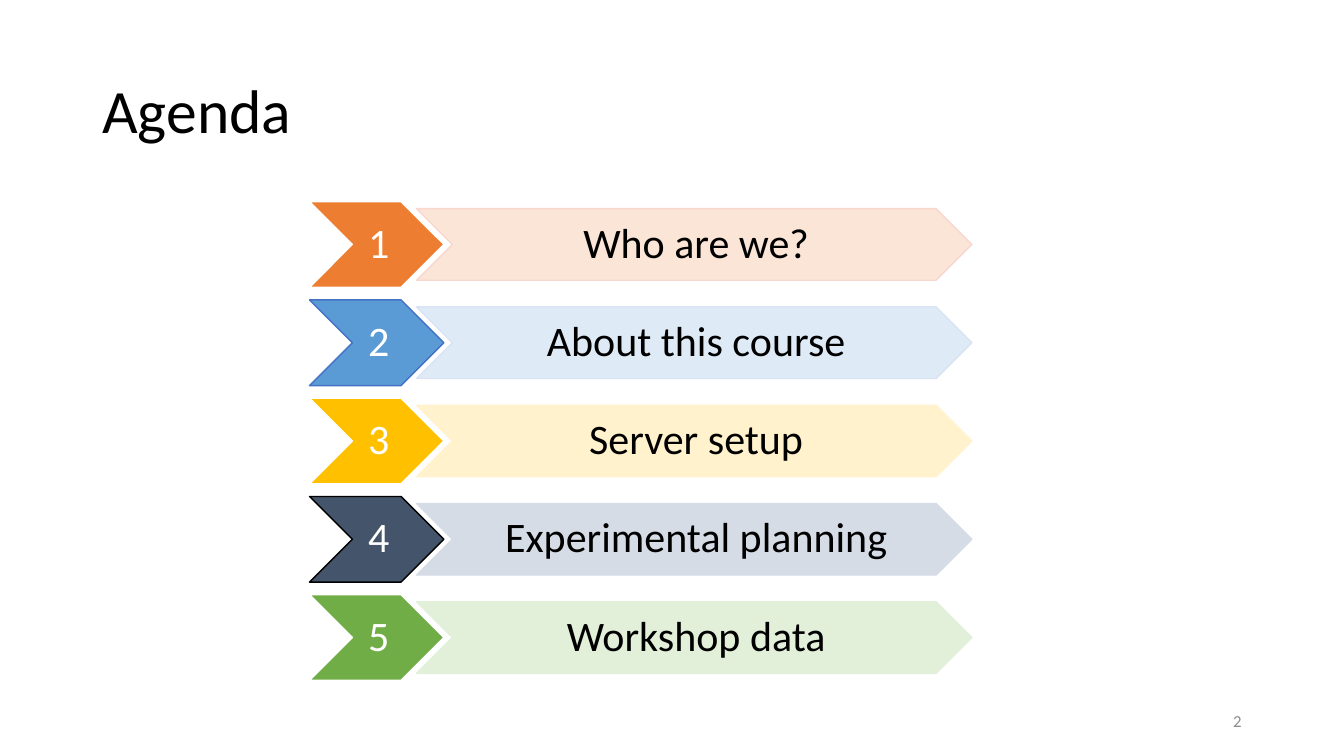
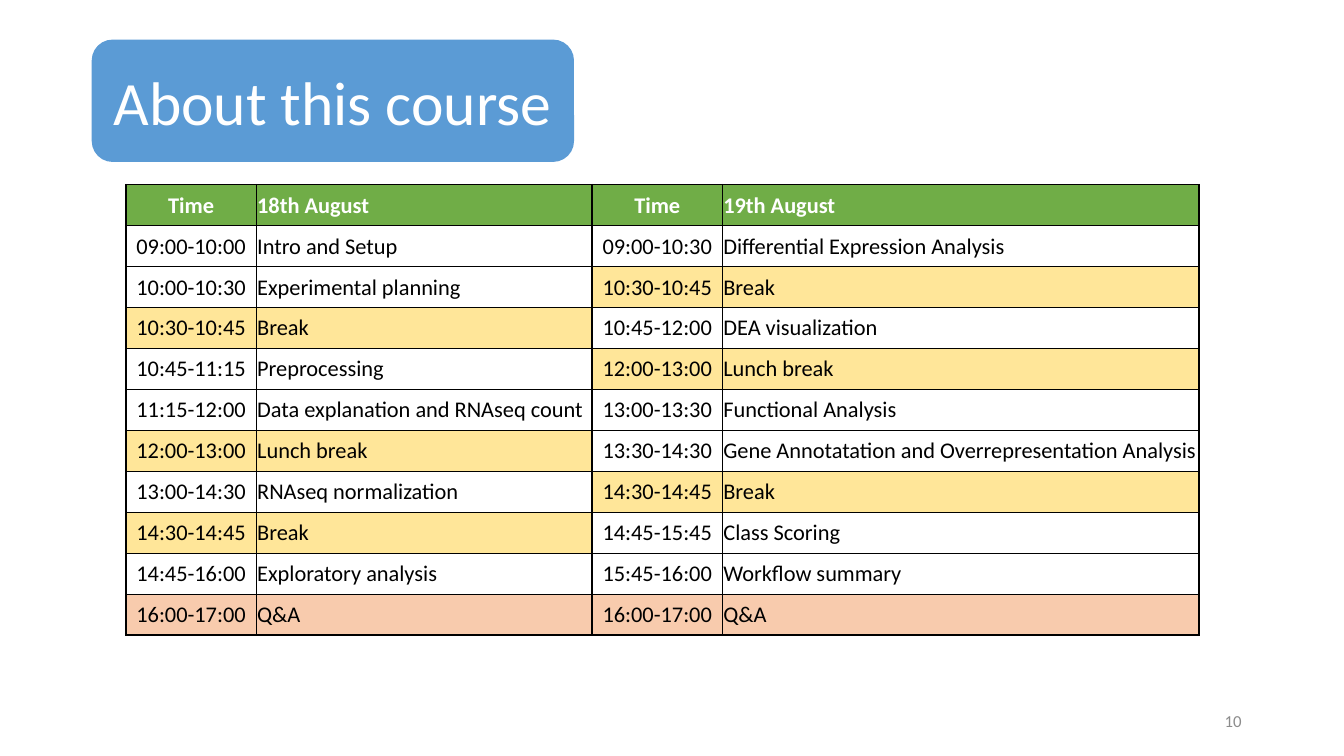
from pptx import Presentation
from pptx.dml.color import RGBColor
from pptx.enum.shapes import MSO_SHAPE
from pptx.enum.text import MSO_ANCHOR, PP_ALIGN
from pptx.oxml import parse_xml
from pptx.oxml.ns import nsdecls
from pptx.util import Inches, Pt


class Theme:
    font = "Calibri"
    title_size, agenda_size, table_size, footer_size = 44, 30, 16, 12
    black, white, grey = "000000", "FFFFFF", "8C8C8C"
    blue, green = "5B9BD5", "70AD47"
    break_fill, questions_fill = "FFE699", "F8CBAD"


prs = Presentation()
prs.slide_width, prs.slide_height = Inches(13.33), Inches(7.5)

# Grid: 160 columns by 150 rows
COL, ROW = prs.slide_width / 160, prs.slide_height / 150
LEFT, RIGHT, TITLE_TOP = 11, 149, 8


def write(tf, text, size, color, align=PP_ALIGN.LEFT, spacing=1.0, bold=False):
    tf.text = text
    tf.word_wrap = True
    tf.vertical_anchor = MSO_ANCHOR.MIDDLE
    p = tf.paragraphs[0]
    p.alignment, p.line_spacing = align, spacing
    font = p.runs[0].font
    font.name, font.size, font.bold = Theme.font, Pt(size), bold
    font.color.rgb = RGBColor.from_string(color)


def add_box(shapes, x, y, w, h, kind=None, fill=None, line=None):
    """Add a shape, or a text box when no kind is given; lengths are grid units."""
    box = [round(v) for v in (x * COL, y * ROW, w * COL, h * ROW)]
    if kind is None:
        return shapes.add_textbox(*box)
    sp = shapes.add_shape(kind, *box)
    sp.shadow.inherit = False
    sp.fill.solid()
    sp.fill.fore_color.rgb = RGBColor.from_string(fill)
    sp.line.color.rgb = RGBColor.from_string(line)
    sp.line.width = Pt(1)
    return sp


# Slides with their page numbers
slides = []
for number in (2, 10):
    s = prs.slides.add_slide(prs.slide_layouts[6])
    sp = add_box(s.shapes, RIGHT - 36, 139, 36, 8)
    write(sp.text_frame, str(number), Theme.footer_size, Theme.grey, PP_ALIGN.RIGHT)
    slides.append(s)
agenda, course = slides

# Agenda: title
sp = add_box(agenda.shapes, LEFT, TITLE_TOP, RIGHT - LEFT, 29)
write(sp.text_frame, "Agenda", Theme.title_size, Theme.black, spacing=0.9)

# Agenda: numbered chevrons, each with a pale bar
ITEMS = [  # text, number fill and line, bar fill and line
    ("Who are we?", "ED7D31", Theme.white, "FBE5D6", "F8D7CE"),
    ("About this course", Theme.blue, "4472C4", "DEEBF7", "DAE3F3"),
    ("Server setup", "FFC000", Theme.white, "FFF2CC", "FFF2CC"),
    ("Experimental planning", "44546A", Theme.black, "D6DCE5", "D6DCE5"),
    ("Workshop data", Theme.green, Theme.white, "E2F0D9", "E2F0D9"),
]
NUMBER_H, BAR_H, PITCH = 17, 14.2, 19.5
group = agenda.shapes.add_group_shape()
for i, (text, fill, line, bar_fill, bar_line) in enumerate(ITEMS):
    top = 40 + i * PITCH
    number = add_box(group.shapes, 36.85, top, 16, NUMBER_H,
                     MSO_SHAPE.CHEVRON, fill, line)
    bar = add_box(group.shapes, 49.6, top + (NUMBER_H - BAR_H) / 2, 66.1, BAR_H,
                  MSO_SHAPE.CHEVRON, bar_fill, bar_line)
    for sp, label, color in ((number, str(i + 1), Theme.white), (bar, text, Theme.black)):
        tf = sp.text_frame
        tf.margin_left, tf.margin_right = Inches(0.04), 0
        tf.margin_top = tf.margin_bottom = Inches(0.02)
        write(tf, label, Theme.agenda_size, color, PP_ALIGN.CENTER, 0.9)

# Course: title badge
sp = add_box(course.shapes, LEFT, TITLE_TOP, 57.25, 24,
             MSO_SHAPE.ROUNDED_RECTANGLE, Theme.blue, Theme.blue)
write(sp.text_frame, "About this course", Theme.title_size, Theme.white, PP_ALIGN.CENTER)

# Course: timetable
TIMETABLE = [
    ("Time", "18th August", "Time", "19th August"),
    ("09:00-10:00", "Intro and Setup", "09:00-10:30", "Differential Expression Analysis"),
    ("10:00-10:30", "Experimental planning", "10:30-10:45", "Break"),
    ("10:30-10:45", "Break", "10:45-12:00", "DEA visualization"),
    ("10:45-11:15", "Preprocessing", "12:00-13:00", "Lunch break"),
    ("11:15-12:00", "Data explanation and RNAseq count", "13:00-13:30", "Functional Analysis"),
    ("12:00-13:00", "Lunch break", "13:30-14:30",
     "Gene Annotatation and Overrepresentation Analysis"),
    ("13:00-14:30", "RNAseq normalization", "14:30-14:45", "Break"),
    ("14:30-14:45", "Break", "14:45-15:45", "Class Scoring"),
    ("14:45-16:00", "Exploratory analysis", "15:45-16:00", "Workflow summary"),
    ("16:00-17:00", "Q&A", "16:00-17:00", "Q&A"),
]
FILLS = {"Break": Theme.break_fill, "Lunch break": Theme.break_fill,
         "Q&A": Theme.questions_fill}
WIDTHS = [15.5, 40, 15.5, 56.75]
ROW_H = 8.13
V_EDGES = [1, 0.5, 1.5, 0.5, 1]
H_EDGES = [1, 1] + [0.5] * 9 + [1]

table = course.shapes.add_table(
    len(TIMETABLE), len(WIDTHS), round(15 * COL), round(36.6 * ROW),
    round(sum(WIDTHS) * COL), round(len(TIMETABLE) * ROW_H * ROW)).table
table.first_row = table.horz_banding = False
for column, width in zip(table.columns, WIDTHS):
    column.width = round(width * COL)

for r, entries in enumerate(TIMETABLE):
    table.rows[r].height = round(ROW_H * ROW)
    for c, text in enumerate(entries):
        cell = table.cell(r, c)
        header, is_time = r == 0, c % 2 == 0
        write(cell.text_frame, text, Theme.table_size,
              Theme.white if header else Theme.black,
              PP_ALIGN.CENTER if is_time else PP_ALIGN.LEFT, bold=header)
        cell.vertical_anchor = MSO_ANCHOR.MIDDLE
        cell.margin_left = cell.margin_right = cell.margin_top = Inches(0.01)
        cell.margin_bottom = 0

        # Borders come before the fill in the cell properties
        edges = {"L": V_EDGES[c], "R": V_EDGES[c + 1],
                 "T": H_EDGES[r], "B": H_EDGES[r + 1]}
        for side, width in edges.items():
            cell._tc.get_or_add_tcPr().append(parse_xml(
                f'<a:ln{side} {nsdecls("a")} w="{Pt(width)}"><a:solidFill>'
                f'<a:srgbClr val="{Theme.black}"/></a:solidFill></a:ln{side}>'))

        activity = entries[c + 1] if is_time else text
        fill = Theme.green if header else FILLS.get(activity)
        if fill:
            cell.fill.solid()
            cell.fill.fore_color.rgb = RGBColor.from_string(fill)
        else:
            cell.fill.background()

prs.save("out.pptx")
